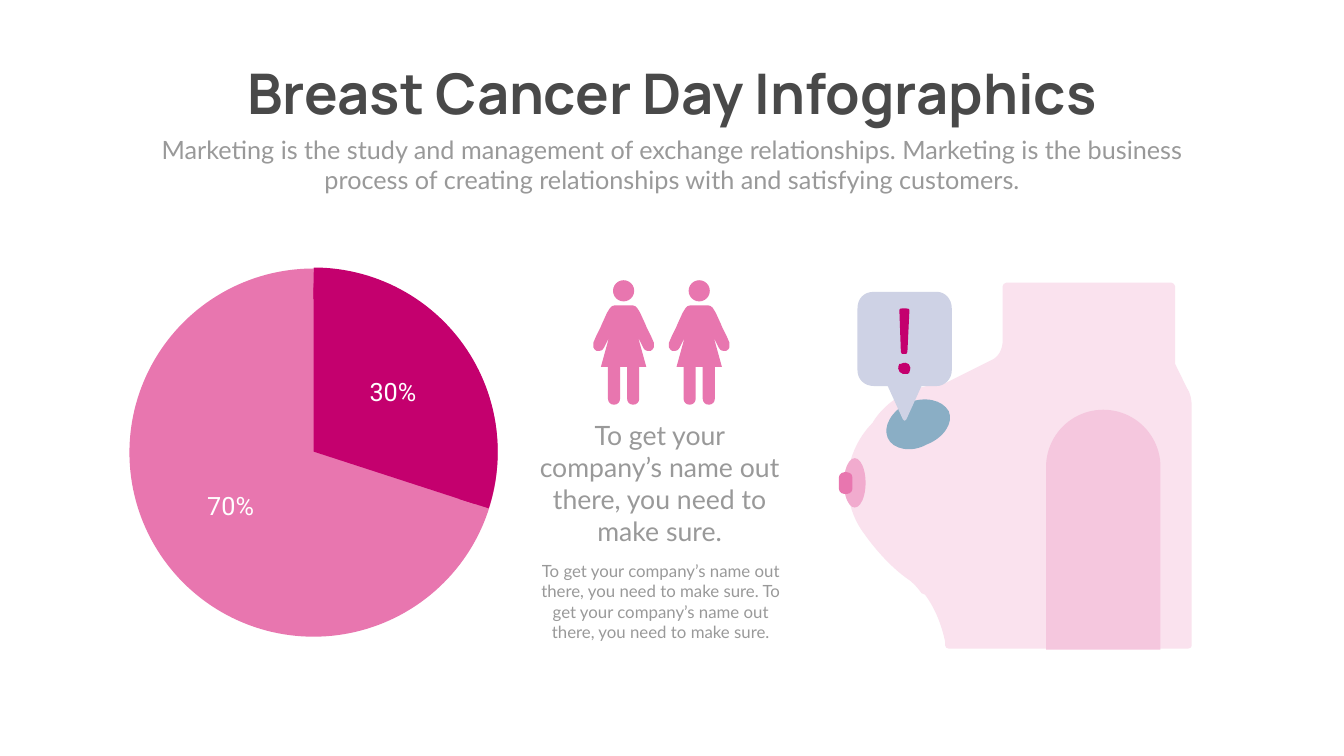
from dataclasses import dataclass

from lxml.etree import SubElement
from pptx import Presentation
from pptx.dml.color import RGBColor
from pptx.enum.shapes import MSO_SHAPE
from pptx.enum.text import PP_ALIGN
from pptx.oxml.ns import qn
from pptx.util import Inches, Pt

COLS, ROWS = 26.66, 15


@dataclass(frozen=True)
class Theme:
    """Hold the colours, fonts and type sizes."""
    dark: str = "494949"
    grey: str = "999999"
    white: str = "FFFFFF"
    pink: str = "E876AF"
    deep: str = "C4006E"
    skin: str = "FAE2EE"
    arm: str = "F5C7DE"
    rose: str = "F1ABCE"
    blue: str = "8AAEC5"
    lilac: str = "CED2E5"
    title: tuple = ("Manrope", 80, True)
    body: tuple = ("Lato", 36, False)
    lead: tuple = ("Lato", 38, False)
    small: tuple = ("Lato", 24, False)
    label: tuple = ("Roboto", 36, False)
    edge: int = 45


THEME = Theme()

SKIN = [(6.67, 1.61), (6.67, 0.07), (6.67, 0.04, 6.63, 0, 6.6, 0), (3.32, 0),
        (3.28, 0, 3.25, 0.04, 3.25, 0.07), (3.25, 1.14),
        (3.25, 1.31, 3.18, 1.47, 3.02, 1.54), (2.08, 2.01),
        (1.04, 2.05, 0.67, 2.78, 0.67, 2.78),
        (0.37, 3.08, 0.17, 3.52, 0.17, 3.98),
        (0.17, 4.35, 0.3, 4.72, 0.51, 4.99),
        (0.51, 4.99, 0.87, 5.52, 1.34, 5.86),
        (1.44, 5.92, 1.54, 6.02, 1.64, 6.16), (1.71, 6.19),
        (1.91, 6.46, 2.04, 6.79, 2.11, 7.13), (2.11, 7.2),
        (2.11, 7.23, 2.14, 7.26, 2.18, 7.26), (6.93, 7.26),
        (6.97, 7.26, 7, 7.23, 7, 7.2), (7, 2.48),
        (7, 2.31, 6.97, 2.18, 6.9, 2.08)]
LUMP = [(2.18, 2.55), (2.05, 2.32, 1.71, 2.25, 1.37, 2.38),
        (1.04, 2.55, 0.87, 2.85, 0.97, 3.08),
        (1.07, 3.31, 1.44, 3.38, 1.74, 3.21),
        (2.08, 3.08, 2.28, 2.78, 2.18, 2.55)]
BUBBLE = [(0.7, 2.05), (0.97, 2.05), (1.27, 2.71),
          (1.27, 2.75, 1.34, 2.75, 1.34, 2.71), (1.64, 2.05), (1.94, 2.05),
          (2.1, 2.05, 2.24, 1.91, 2.24, 1.74), (2.24, 0.51),
          (2.24, 0.31, 2.1, 0.18, 1.94, 0.18), (0.7, 0.18),
          (0.5, 0.18, 0.37, 0.31, 0.37, 0.51), (0.37, 1.74),
          (0.37, 1.91, 0.5, 2.05, 0.7, 2.05)]
BAR = [(1.33, 1.41), (1.26, 1.41), (1.26, 1.41, 1.23, 1.41, 1.23, 1.37),
       (1.2, 0.54), (1.2, 0.51, 1.23, 0.51, 1.26, 0.51), (1.33, 0.51),
       (1.36, 0.51, 1.4, 0.51, 1.4, 0.54), (1.36, 1.37),
       (1.36, 1.41, 1.33, 1.41, 1.33, 1.41)]
DOT = [(1.36, 1.81), (1.23, 1.84, 1.13, 1.74, 1.2, 1.61),
       (1.2, 1.61, 1.2, 1.61, 1.23, 1.61), (1.36, 1.54, 1.46, 1.64, 1.4, 1.77),
       (1.4, 1.77, 1.4, 1.81, 1.36, 1.81)]
HALF = [(0, 0.5), (0.18, 0.5), (0.26, 0.5, 0.29, 0.59, 0.33, 0.65),
        (0.43, 0.87), (0.46, 0.95, 0.5, 1.02, 0.54, 1.1), (0.6, 1.24),
        (0.62, 1.3, 0.6, 1.37, 0.54, 1.4), (0.48, 1.42, 0.42, 1.4, 0.39, 1.34),
        (0.29, 1.14), (0.45, 1.72), (0.31, 1.72), (0.31, 2.35),
        (0.31, 2.42, 0.26, 2.47, 0.19, 2.47),
        (0.12, 2.47, 0.07, 2.42, 0.07, 2.35), (0.07, 1.72), (0, 1.72)]


def place(box, part):
    """Turn a part of a box, in columns and rows, into slide lengths."""
    left, top, wide, high = part
    return [Inches(n) for n in (box[0] + left, box[1] + top, wide, high)]


def paint(shape, fill, edge=0):
    """Fill a shape and draw its edge in the same colour, if any."""
    shape.shadow.inherit = False
    shape.fill.solid()
    shape.fill.fore_color.rgb = RGBColor.from_string(fill)
    if edge:
        shape.line.color.rgb = RGBColor.from_string(fill)
        shape.line.width = Pt(edge)
    else:
        shape.line.fill.background()


def form(slide, kind, box, part, fill, edge=0, turns=()):
    """Add a preset shape with its adjustments."""
    shape = slide.shapes.add_shape(kind, *place(box, part))
    for spot, turn in enumerate(turns):
        shape.adjustments[spot] = turn
    paint(shape, fill, edge)
    return shape


def pairs(step):
    """Split a step into its points."""
    return list(zip(step[::2], step[1::2]))


def bend(node, dots):
    """Turn a straight segment into a cubic curve."""
    node.tag = qn("a:cubicBezTo")
    for old in list(node):
        node.remove(old)
    for x, y in dots:
        SubElement(node, qn("a:pt"), x=str(x), y=str(y))


def draw(slide, box, fill, *loops):
    """Add closed loops of lines and cubic curves as one outline."""
    loops = [[[(Inches(box[0] + x), Inches(box[1] + y)) for x, y in pairs(step)]
              for step in loop] for loop in loops]
    pen = slide.shapes.build_freeform(*loops[0][0][0])
    for spot, loop in enumerate(loops):
        if spot:
            pen.move_to(*loop[0][0])
        pen.add_line_segments([step[-1] for step in loop[1:]], close=True)
    shape = pen.convert_to_shape()
    curves = [step for loop in loops for step in loop[1:]]
    for node, step in zip(list(shape.element.iter(qn("a:lnTo"))), curves):
        if len(step) == 3:
            bend(node, [(x - shape.left, y - shape.top) for x, y in step])
    paint(shape, fill)


def mirror(half, mid):
    """Close half an outline with its mirror image about a column."""
    dots = [pairs(step) for step in half]
    back = [dots[n][-2::-1] + [dots[n - 1][-1]] if len(dots[n]) > 1
            else [dots[n - 1][-1]] for n in range(len(dots) - 1, 0, -1)]
    sides = [(1, step) for step in dots] + [(-1, step) for step in back]
    return [tuple(n for x, y in step for n in (mid + side * x, y))
            for side, step in sides]


def write(slide, box, part, text, style, tint):
    """Add a centred, wrapped line of text."""
    frame = slide.shapes.add_textbox(*place(box, part)).text_frame
    frame.word_wrap = True
    frame.paragraphs[0].alignment = PP_ALIGN.CENTER
    run = frame.paragraphs[0].add_run()
    run.text = text
    run.font.name, size, run.font.bold = style
    run.font.size = Pt(size)
    run.font.color.rgb = RGBColor.from_string(tint)


def header(slide, box):
    """Place the title above its summary."""
    write(slide, box, (1.14, 0, 18.55, 1.45), "Breast Cancer Day Infographics",
          THEME.title, THEME.dark)
    write(slide, box, (0, 1.49, box[2], 1.31),
          "Marketing is the study and management of exchange relationships. "
          "Marketing is the business process of creating relationships with "
          "and satisfying customers.", THEME.body, THEME.grey)


def pie(slide, box, share):
    """Place a disc, the slice for a share in percent, and both labels."""
    wide, high = box[2:]
    form(slide, MSO_SHAPE.OVAL, box, (0, 0.02, wide, high), THEME.pink, THEME.edge)
    ends = [angle * 0.6 for angle in (90, 90 + share * 3.6)]
    slab = form(slide, MSO_SHAPE.ARC, box, (0, 0, wide, high), THEME.deep,
                THEME.edge, ends)
    slab.rotation = 180
    for value, x, y in ((100 - share, 0.95, 4.06), (share, 4.17, 1.8)):
        write(slide, box, (x, y, 1.49, 0.71), f"{value}%", THEME.label, THEME.white)


def woman(slide, box):
    """Place a figure from a mirrored half outline and a head."""
    mid = box[2] / 2
    draw(slide, box, THEME.pink, mirror(HALF, mid))
    form(slide, MSO_SHAPE.OVAL, box, (mid - 0.21, 0, 0.42, 0.42), THEME.pink)


def story(slide, box):
    """Place two figures over the lead and the small text."""
    for spot in range(2):
        woman(slide, (box[0] + 1.31 + 1.5 * spot, box[1], 1.2, 2.47))
    line = "To get your company’s name out there, you need to make sure."
    write(slide, box, (0, 2.7, box[2], 2.02), line, THEME.lead, THEME.grey)
    write(slide, box, (0.02, 5.52, box[2], 1.72), f"{line} {line}",
          THEME.small, THEME.grey)


def torso(slide, box):
    """Place the side view of a torso with a lump and its warning."""
    draw(slide, box, THEME.skin, SKIN)
    form(slide, MSO_SHAPE.ROUND_2_SAME_RECTANGLE, box, (4.11, 2.52, 2.27, 4.76),
         THEME.arm, turns=(0.5, 0))
    draw(slide, box, THEME.blue, LUMP)
    form(slide, MSO_SHAPE.OVAL, box, (0.1, 3.48, 0.43, 0.98), THEME.rose)
    form(slide, MSO_SHAPE.ROUNDED_RECTANGLE, box, (0, 3.76, 0.27, 0.43),
         THEME.pink, turns=(0.4,))
    draw(slide, box, THEME.lilac, BUBBLE)
    draw(slide, box, THEME.deep, DOT, BAR)


def main():
    """Build the slide and save it."""
    deck = Presentation()
    deck.slide_width, deck.slide_height = Inches(COLS), Inches(ROWS)
    slide = deck.slides.add_slide(deck.slide_layouts[6])
    header(slide, (2.92, 1.12, 20.82, 2.8))
    pie(slide, (2.88, 5.62, 6.68, 6.68), 30)
    torso(slide, (16.64, 5.61, 7, 7.28))
    story(slide, (10.46, 5.56, 5.25, 7.24))
    deck.save("out.pptx")


if __name__ == "__main__":
    main()
